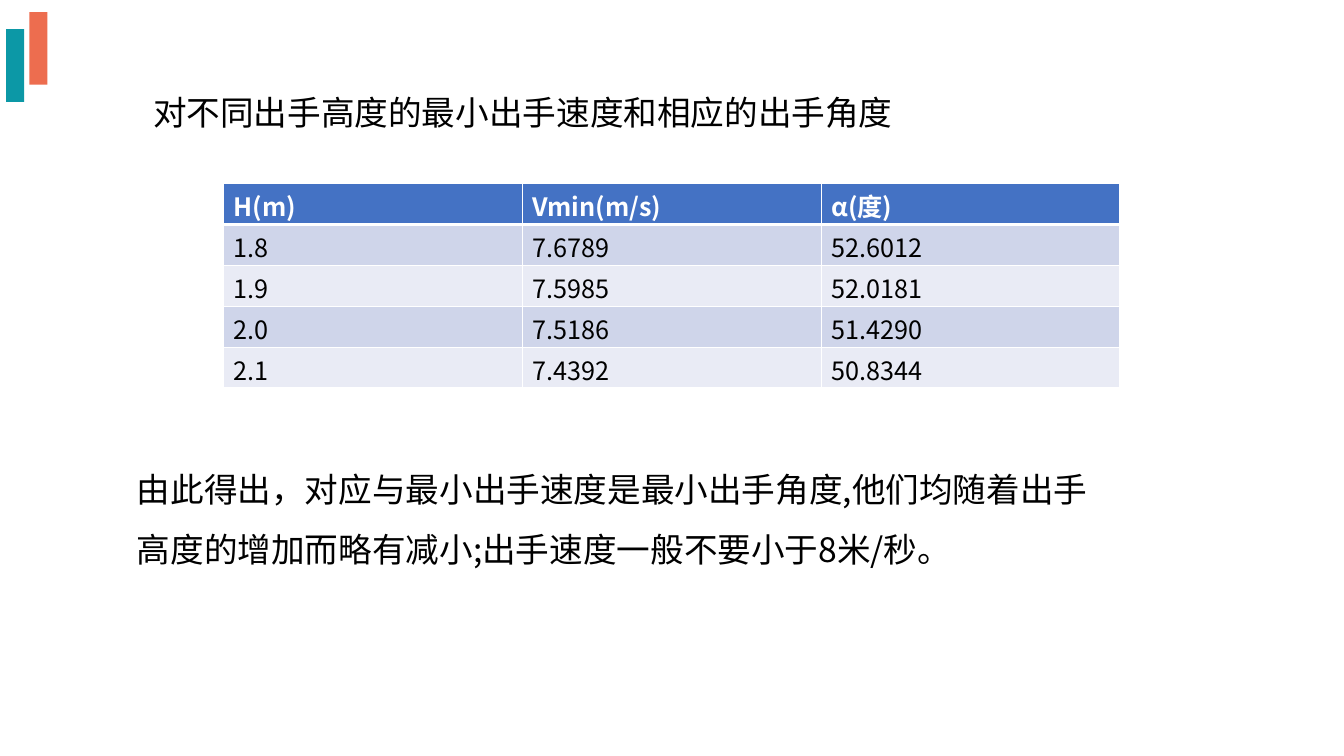
from pptx import Presentation
from pptx.dml.color import RGBColor as RGB
from pptx.enum.shapes import MSO_SHAPE as Shape
from pptx.enum.text import MSO_AUTO_SIZE as Auto
from pptx.oxml import parse_xml
from pptx.oxml.ns import nsdecls
from pptx.util import Inches, Pt

TITLE = "对不同出手高度的最小出手速度和相应的出手角度"
RESULT = "由此得出，对应与最小出手速度是最小出手角度,他们均随着出手高度的增加而略有减小;出手速度一般不要小于8米/秒。"
ROWS = [
    ("H(m)", "Vmin(m/s)", "α(度)"),
    ("1.8", "7.6789", "52.6012"),
    ("1.9", "7.5985", "52.0181"),
    ("2.0", "7.5186", "51.4290"),
    ("2.1", "7.4392", "50.8344"),
]
TEXTS = [
    (TITLE, (1.42, 0.86, 8.78, 0.5), 1.0),
    (RESULT, (1.26, 4.4, 9.92, 1.25), 1.5),
]
BARS = [("teal", 0.06, 0.29), ("coral", 0.29, 0.12)]
BAR_SIZE = (0.18, 0.72)
GRID = (2.22, 1.82, 8.89, 2.03)
THEME = {
    "font": "Noto Sans CJK SC", "body": 24, "cell": 18,
    "ink": "000000", "white": "FFFFFF", "head": "4472C4",
    "bands": ("CFD5EA", "E9EBF5"), "teal": "0C98A6", "coral": "ED6D4F",
}


def paint(fill, color):
    fill.solid()
    fill.fore_color.rgb = RGB.from_string(color)


def write(frame, text, size, color=THEME["ink"], bold=False, space=1.0):
    para = frame.paragraphs[0]
    para.line_spacing = space
    run = para.add_run()
    run.text = text
    font = run.font
    font.name, font.size, font.bold = THEME["font"], Pt(size), bold
    font.color.rgb = RGB.from_string(color)
    props = run._r.get_or_add_rPr()
    props.append(parse_xml(f'<a:ea {nsdecls("a")} typeface="{THEME["font"]}"/>'))


def edge(cell, base):
    props = cell._tc.get_or_add_tcPr()
    widths = {"L": 1, "R": 1, "T": 1, "B": base}
    for spot, (side, width) in enumerate(widths.items()):
        props.insert(spot, parse_xml(
            f'<a:ln{side} {nsdecls("a")} w="{Pt(width)}"><a:solidFill>'
            f'<a:srgbClr val="{THEME["white"]}"/></a:solidFill></a:ln{side}>'))


def add_grid(slide):
    table = slide.shapes.add_table(
        len(ROWS), len(ROWS[0]), *map(Inches, GRID)).table
    for r, row in enumerate(ROWS):
        head = r == 0
        for c, text in enumerate(row):
            cell = table.cell(r, c)
            cell.margin_top, cell.margin_bottom = Inches(0.04), 0
            paint(cell.fill, THEME["head"] if head else THEME["bands"][(r - 1) % 2])
            edge(cell, 3 if r == 0 else 1)
            if r == 1:
                top = cell._tc.tcPr.find(
                    "{http://schemas.openxmlformats.org/drawingml/2006/main}lnT")
                top.set("w", str(Pt(3)))
            write(cell.text_frame, text, THEME["cell"], bold=head,
                  color=THEME["white"] if head else THEME["ink"])


def main():
    deck = Presentation()
    deck.slide_width, deck.slide_height = Inches(13.33), Inches(7.5)
    slide = deck.slides.add_slide(deck.slide_layouts[6])
    for text, place, space in TEXTS:
        frame = slide.shapes.add_textbox(*map(Inches, place)).text_frame
        frame.word_wrap = True
        frame.auto_size = Auto.SHAPE_TO_FIT_TEXT
        write(frame, text, THEME["body"], space=space)
        if text == TITLE:
            add_grid(slide)
    for name, left, top in BARS:
        bar = slide.shapes.add_shape(
            Shape.RECTANGLE, *map(Inches, (left, top, *BAR_SIZE)))
        bar.shadow.inherit = False
        paint(bar.fill, THEME[name])
        bar.line.fill.background()
    deck.save("out.pptx")


if __name__ == "__main__":
    main()
